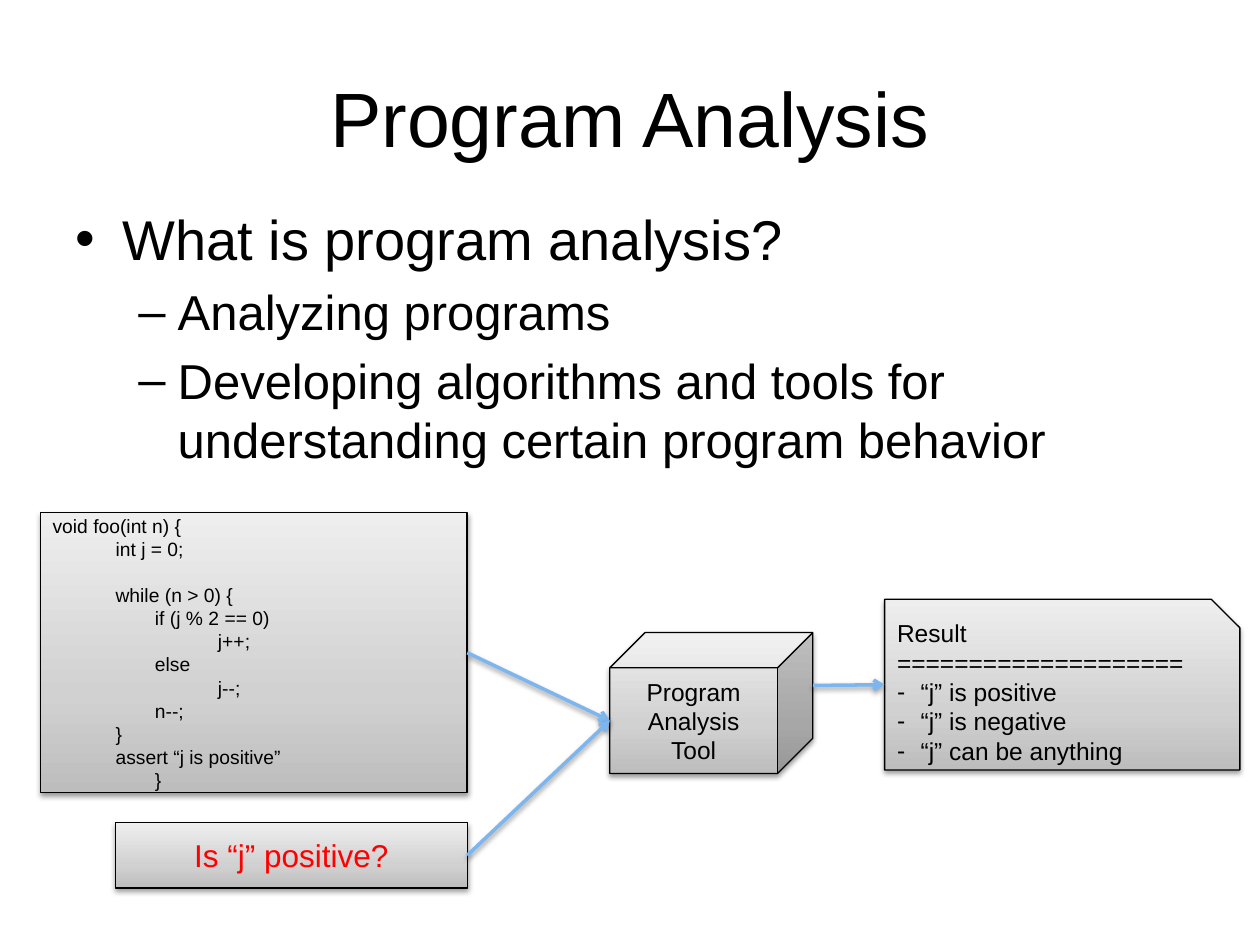
from copy import deepcopy

from lxml import etree
from pptx import Presentation
from pptx import util as u
from pptx.dml.color import RGBColor
from pptx.enum import shapes, text
from pptx.oxml import ns

Pt = u.Pt
BLACK = RGBColor(0x00, 0x00, 0x00)
RED = RGBColor(0xFF, 0x00, 0x00)
BLUE = RGBColor(0x7D, 0xB6, 0xEF)
GREYS = [
    (0, RGBColor(0xBD, 0xBD, 0xBD)),
    (0.35, RGBColor(0xD1, 0xD1, 0xD1)),
    (1, RGBColor(0xEE, 0xEE, 0xEE)),
]
FONT = "Arial"
LEFT, CENTER = text.PP_ALIGN.LEFT, text.PP_ALIGN.CENTER
MIDDLE, TOP = text.MSO_ANCHOR.MIDDLE, text.MSO_ANCHOR.TOP

BULLETS = [
    ("What is program analysis?", 32, 27, -27, "•"),
    ("Analyzing programs", 28, 58.5, -22.5, "–"),
    ("Developing algorithms and tools for understanding certain program behavior",
     28, 58.5, -22.5, "–"),
]
CODE = [
    ("void foo(int n) {", 0, 0),
    ("\tint j = 0;", 0, 0),
    ("", 0, 0),
    ("while (n > 0) {", 58.5, -22.5),
    ("\tif (j % 2 == 0)", 58.5, -22.5),
    ("\t\tj++;", 58.5, -22.5),
    ("\telse", 58.5, -22.5),
    ("\t\tj--;", 58.5, -22.5),
    ("\tn--;", 58.5, -22.5),
    ("}", 58.5, -22.5),
    ("assert “j is positive”", 58.5, -22.5),
    ("}", 58.5, 0),
]
FINDINGS = ["“j” is positive", "“j” is negative", "“j” can be anything"]


def add_element(parent, tag, **attributes):
    element = etree.SubElement(parent, ns.qn(tag))
    for name, value in attributes.items():
        element.set(name, str(value))
    return element


def add_shadow(item):
    effects = add_element(item._element.spPr, "a:effectLst")
    shadow = add_element(effects, "a:outerShdw", blurRad=Pt(3.1), dist=Pt(1.6),
                         dir=5400000, rotWithShape=0)
    color = add_element(shadow, "a:srgbClr", val="000000")
    add_element(color, "a:alpha", val=38000)


def write(para, words, size, color=BLACK, align=LEFT, margin=0, indent=0, bullet=None):
    para.text = words
    para.alignment = align
    properties = para._p.get_or_add_pPr()
    properties.set("marL", str(Pt(margin)))
    properties.set("indent", str(Pt(indent)))
    properties.set("defTabSz", str(Pt(36)))
    if bullet:
        add_element(properties, "a:buFont", typeface=FONT)
        add_element(properties, "a:buChar", char=bullet)
    for span in para.runs:
        span.font.name = FONT
        span.font.size = Pt(size)
        span.font.color.rgb = color
    if not words:
        add_element(para._p, "a:endParaRPr", sz=size * 100)


def paragraphs(frame, count):
    return [frame.paragraphs[0]] + [frame.add_paragraph() for _ in range(count - 1)]


def add_text_box(page, box, anchor):
    frame = page.shapes.add_textbox(*map(Pt, box)).text_frame
    frame.word_wrap = True
    frame.vertical_anchor = anchor
    return frame


def add_panel(page, kind, box):
    panel = page.shapes.add_shape(kind, *map(Pt, box))
    panel.fill.gradient()
    panel.fill.gradient_angle = 90
    stops = panel._element.spPr.find(".//" + ns.qn("a:gsLst"))
    stops.append(deepcopy(stops[0]))
    for stop, (position, color) in zip(panel.fill.gradient_stops, GREYS):
        stop.position = position
        stop.color.rgb = color
    panel.line.color.rgb = BLACK
    panel.line.width = Pt(0.75)
    add_shadow(panel)
    panel.text_frame.word_wrap = True
    panel.text_frame.vertical_anchor = MIDDLE
    return panel


def add_title(page, box):
    frame = add_text_box(page, box, MIDDLE)
    write(frame.paragraphs[0], "Program Analysis", 44, align=CENTER)


def add_body(page, box):
    frame = add_text_box(page, box, TOP)
    paras = paragraphs(frame, len(BULLETS))
    for para, (words, size, margin, indent, bullet) in zip(paras, BULLETS):
        if para is not paras[0]:
            para.space_before = Pt(size * 0.2)
        write(para, words, size, margin=margin, indent=indent, bullet=bullet)


def add_code(page, box):
    panel = add_panel(page, shapes.MSO_SHAPE.RECTANGLE, box)
    paras = paragraphs(panel.text_frame, len(CODE))
    for para, (words, margin, indent) in zip(paras, CODE):
        write(para, words, 11, margin=margin, indent=indent)
    return panel


def add_question(page, box):
    panel = add_panel(page, shapes.MSO_SHAPE.RECTANGLE, box)
    write(panel.text_frame.paragraphs[0], "Is “j” positive?", 18, RED, CENTER)
    return panel


def add_tool(page, box):
    panel = add_panel(page, shapes.MSO_SHAPE.CUBE, box)
    words = ["Program", "Analysis", "Tool"]
    for para, word in zip(paragraphs(panel.text_frame, len(words)), words):
        write(para, word, 14, align=CENTER)


def add_result(page, box):
    panel = add_panel(page, shapes.MSO_SHAPE.SNIP_1_RECTANGLE, box)
    heading, rule, *items = paragraphs(panel.text_frame, 2 + len(FINDINGS))
    write(heading, "Result", 14)
    write(rule, "=" * 20, 14)
    for para, finding in zip(items, FINDINGS):
        write(para, finding, 14, margin=13.5, indent=-13.5, bullet="-")
    return panel


def add_arrow(page, start, end, source=None, target=None):
    arrow = page.shapes.add_connector(
        shapes.MSO_CONNECTOR.STRAIGHT, *map(Pt, start + end))
    if source is not None:
        arrow.begin_connect(source, 3)
    if target is not None:
        arrow.end_connect(target, 1)
    arrow.line.color.rgb = BLUE
    arrow.line.width = Pt(2)
    add_element(arrow.line._get_or_add_ln(), "a:tailEnd", type="arrow")
    add_shadow(arrow)


def main():
    deck = Presentation()
    deck.slide_width, deck.slide_height = Pt(720), Pt(540)
    page = deck.slides.add_slide(deck.slide_layouts[6])
    add_title(page, (36, 21.6, 648, 90))
    add_body(page, (36, 113.5, 648, 174))
    code = add_code(page, (23, 293, 244, 160))
    question = add_question(page, (66, 470, 201, 37.5))
    add_tool(page, (348.5, 361.5, 116, 80.5))
    result = add_result(page, (505.5, 342.5, 203, 97.5))
    tool_entry, tool_exit = (348.5, 411.8), (464.5, 391.7)
    add_arrow(page, (267, 373), tool_entry, source=code)
    add_arrow(page, (267, 488.75), tool_entry, source=question)
    add_arrow(page, tool_exit, (505.5, 391.25), target=result)
    deck.save("out.pptx")


if __name__ == "__main__":
    main()
